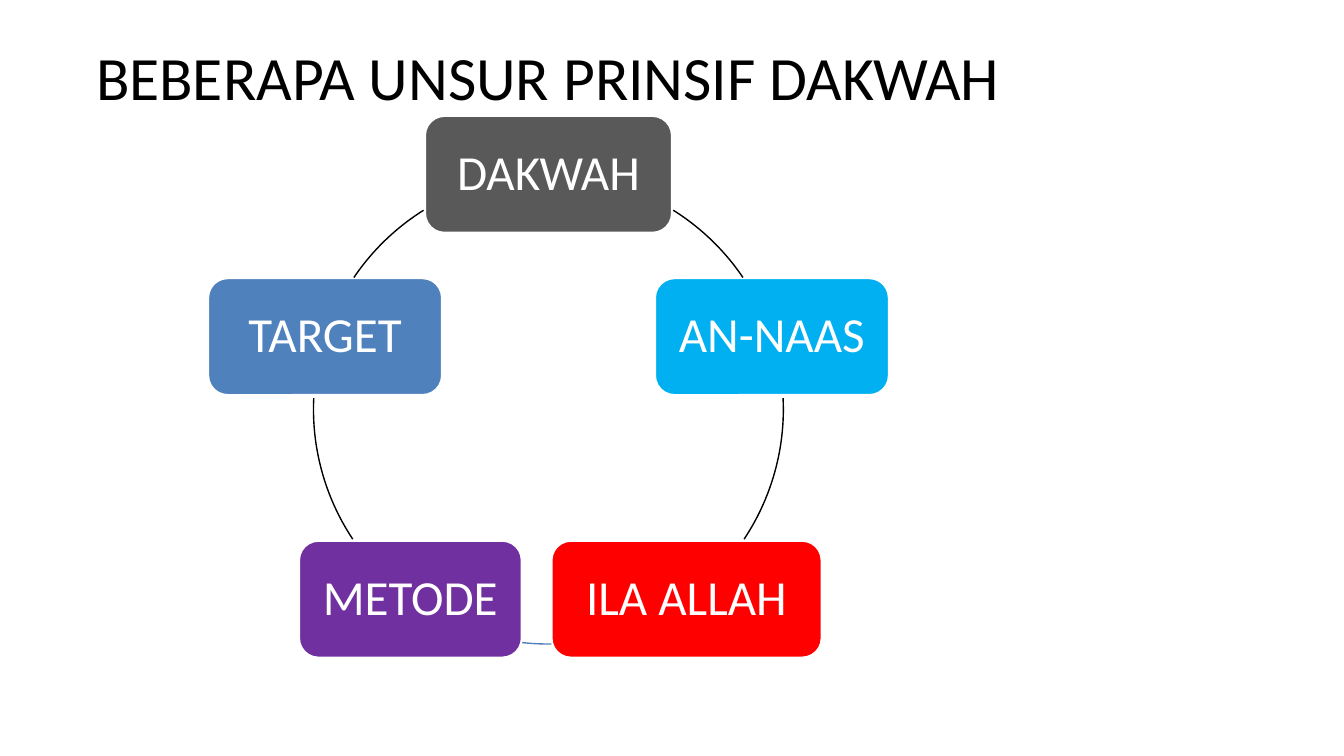
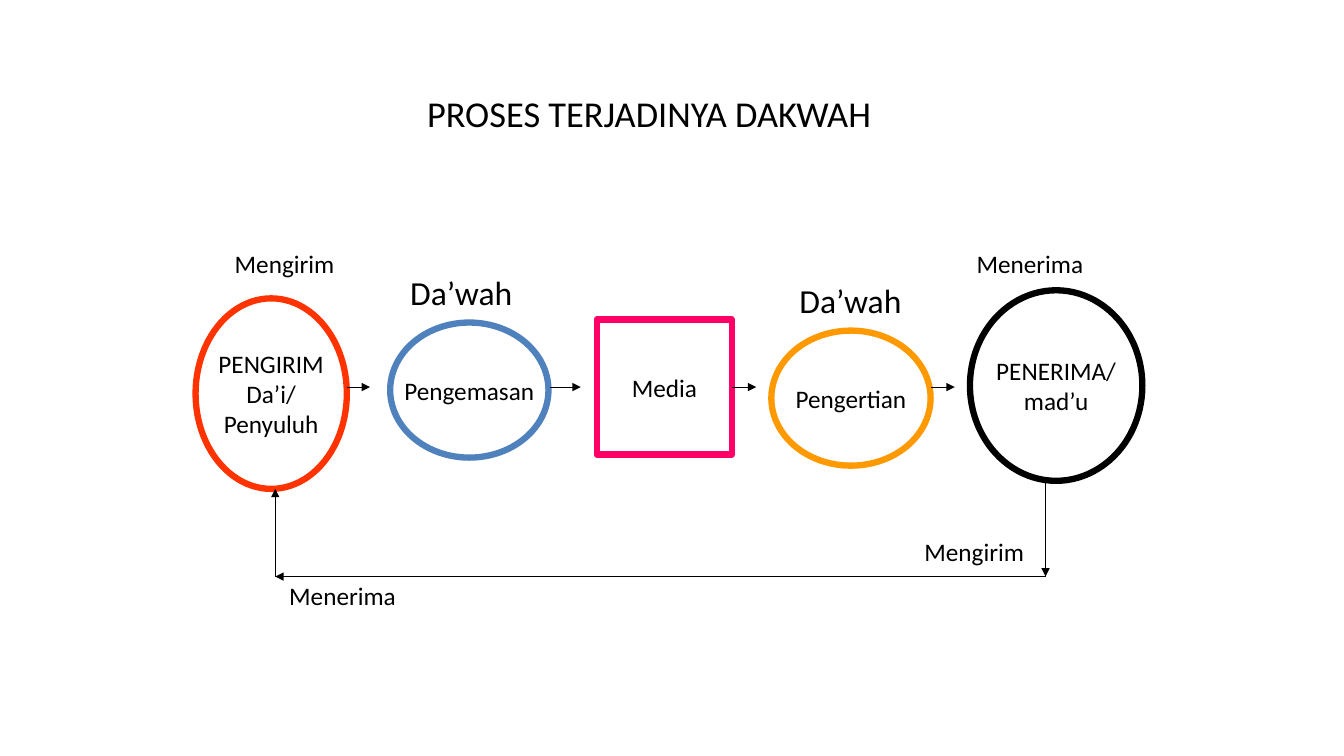
from math import cos, radians, sin

from lxml.etree import SubElement
from pptx import Presentation
from pptx.dml.color import RGBColor
from pptx.enum.shapes import MSO_CONNECTOR, MSO_SHAPE
from pptx.enum.text import MSO_ANCHOR, PP_ALIGN
from pptx.oxml.ns import qn
from pptx.util import Inches, Pt

COLORS = {
    "black": "000000",
    "white": "FFFFFF",
    "gray": "595959",
    "sky": "00B0F0",
    "red": "FF0000",
    "purple": "7030A0",
    "blue": "4F81BD",
    "vermilion": "FF3300",
    "pink": "FF0066",
    "orange": "FF9900",
}
FONT = "Calibri"
RING_X, RING_Y, RING_RADIUS = 5.44, 4.06, 2.33
NODE_HEIGHT = 1.16
NODES = [
    ("DAKWAH", 2.45, "gray"),
    ("AN-NAAS", 2.32, "sky"),
    ("ILA ALLAH", 2.68, "red"),
    ("METODE", 2.21, "purple"),
    ("TARGET", 2.32, "blue"),
]
ARCS = [
    (302.1, 325.9, "black"),
    (357.3, 33.6, "black"),
    (89.3, 96.4, "blue"),
    (146.4, 182.7, "black"),
    (214.1, 237.9, "black"),
]
STAGES = [
    (MSO_SHAPE.OVAL, (1.94, 2.96, 1.5, 1.89), "vermilion", ["PENGIRIM", "Da’i/", "Penyuluh"]),
    (MSO_SHAPE.OVAL, (3.87, 3.2, 1.57, 1.34), "blue", ["Pengemasan"]),
    (MSO_SHAPE.RECTANGLE, (5.92, 3.17, 1.34, 1.34), "pink", ["Media"]),
    (MSO_SHAPE.OVAL, (7.65, 3.28, 1.58, 1.34), "orange", ["Pengertian"]),
    (MSO_SHAPE.OVAL, (9.62, 2.88, 1.71, 1.89), "black", ["PENERIMA/", "mad’u"]),
]
FLOW_Y = 3.84
FLOW_ENDS = [(3.44, 3.67), (5.45, 5.76), (7.26, 7.5), (9.23, 9.47)]
MEDIA = 2
RETURN_ROUTE = [(10.37, 4.77), (10.37, 5.72), (2.73, 5.72), (2.73, 4.85)]
LABELS = [
    ("Menerima", (2.77, 5.71, 1.89, 0.4), 18, PP_ALIGN.LEFT),
    ("Mengirim", (9.07, 5.27, 1.65, 0.4), 18, PP_ALIGN.LEFT),
    ("Mengirim", (2.23, 2.41, 2.2, 0.4), 18, PP_ALIGN.LEFT),
    ("Da’wah", (3.75, 2.65, 1.65, 0.5), 24, PP_ALIGN.CENTER),
    ("Da’wah", (7.61, 2.73, 1.65, 0.5), 24, PP_ALIGN.CENTER),
    ("Menerima", (9.27, 2.41, 1.89, 0.4), 18, PP_ALIGN.CENTER),
]


def rgb(name):
    return RGBColor.from_string(COLORS[name])


def apply_format(target, values):
    for name, value in values.items():
        setattr(target, name, value)


def write_text(box, lines, size, color="black", align=PP_ALIGN.CENTER,
               anchor=MSO_ANCHOR.MIDDLE, wrap=True, spacing=1.0):
    frame = box.text_frame
    apply_format(frame, {"word_wrap": wrap, "vertical_anchor": anchor})
    for index, line in enumerate(lines):
        para = frame.add_paragraph() if index else frame.paragraphs[0]
        apply_format(para, {"alignment": align, "line_spacing": spacing})
        span = para.add_run()
        span.text = line
        apply_format(span.font, {"name": FONT, "size": Pt(size)})
        span.font.color.rgb = rgb(color)


def add_text(page, area, text, size, **layout):
    box = page.shapes.add_textbox(*map(Inches, area))
    write_text(box, [text], size, **layout)


def add_figure(page, kind, area, fill, line, weight):
    figure = page.shapes.add_shape(kind, *map(Inches, area))
    figure.shadow.inherit = False
    if fill:
        figure.fill.solid()
        figure.fill.fore_color.rgb = rgb(fill)
    else:
        figure.fill.background()
    figure.line.color.rgb = rgb(line)
    figure.line.width = Pt(weight)
    return figure


def add_arc(page, start, end, color):
    area = (RING_X - RING_RADIUS, RING_Y - RING_RADIUS, 2 * RING_RADIUS, 2 * RING_RADIUS)
    arc = add_figure(page, MSO_SHAPE.ARC, area, None, color, 1)
    for index, degrees in enumerate((start, end)):
        arc.adjustments[index] = degrees * 0.6


def add_node(page, index, text, width, color):
    angle = radians(72 * index - 90)
    left = RING_X + RING_RADIUS * cos(angle) - width / 2
    top = RING_Y + RING_RADIUS * sin(angle) - NODE_HEIGHT / 2
    node = add_figure(page, MSO_SHAPE.ROUNDED_RECTANGLE,
                      (left, top, width, NODE_HEIGHT), color, "white", 1.5)
    write_text(node, [text], 35, color="white", spacing=0.9)


def add_arrow(page, start, end):
    arrow = page.shapes.add_connector(MSO_CONNECTOR.STRAIGHT, *map(Inches, start + end))
    arrow.line.color.rgb = rgb("black")
    arrow.line.width = Pt(0.75)
    SubElement(arrow.line._get_or_add_ln(), qn("a:tailEnd"), type="triangle")
    SubElement(arrow._element.spPr, qn("a:effectLst"))
    return arrow


def build_elements(page):
    add_text(page, (0.74, 0.03, 9.4, 1.44), "BEBERAPA UNSUR PRINSIF DAKWAH", 44)
    for index, node in enumerate(NODES):
        add_node(page, index, *node)
    for arc in ARCS:
        add_arc(page, *arc)


def build_process(page):
    add_text(page, (1.94, 0.66, 9, 0.92), "PROSES TERJADINYA DAKWAH", 26)
    stages = []
    for kind, area, color, lines in STAGES:
        stage = add_figure(page, kind, area, "white", color, 4.5)
        write_text(stage, lines, 18, wrap=False)
        stages.append(stage)
    arrows = [add_arrow(page, (start, FLOW_Y), (end, FLOW_Y)) for start, end in FLOW_ENDS]
    arrows[MEDIA].begin_connect(stages[MEDIA], 3)
    for start, end in zip(RETURN_ROUTE, RETURN_ROUTE[1:]):
        add_arrow(page, start, end)
    for text, area, size, align in LABELS:
        add_text(page, area, text, size, align=align, anchor=MSO_ANCHOR.TOP)


def main():
    deck = Presentation()
    apply_format(deck, {"slide_width": Inches(13.33), "slide_height": Inches(7.5)})
    for build in (build_elements, build_process):
        build(deck.slides.add_slide(deck.slide_layouts[6]))
    deck.save("out.pptx")


if __name__ == "__main__":
    main()
